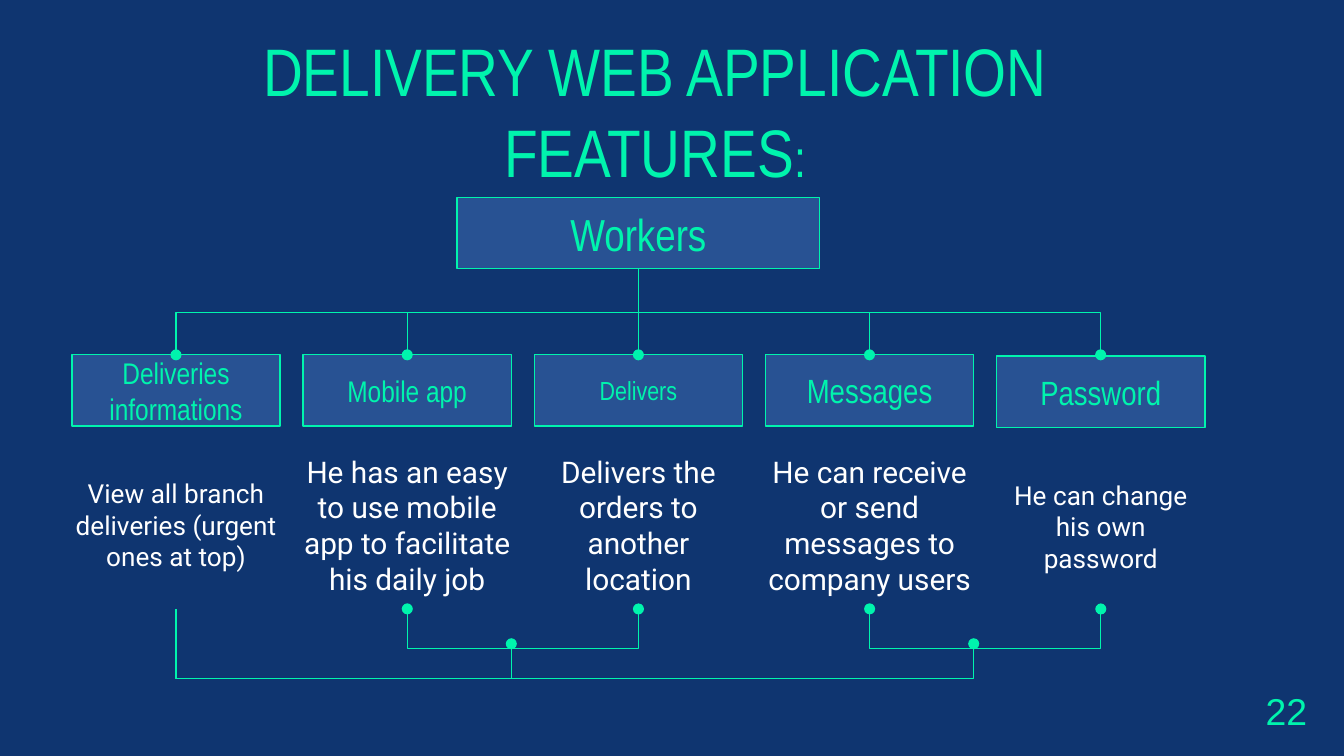
from lxml.etree import SubElement
from pptx import Presentation
from pptx.dml.color import RGBColor
from pptx.enum.shapes import MSO_CONNECTOR, MSO_SHAPE
from pptx.enum.text import MSO_ANCHOR, MSO_AUTO_SIZE, PP_ALIGN
from pptx.oxml.ns import qn
from pptx.util import Pt

COLORS = {"back": "0F3570", "box": "285293", "accent": "00F4AD", "text": "FFFFFF"}
HEAD_FONT, BODY_FONT = "Arial Narrow", "Roboto"

TITLE = ["DELIVERY WEB APPLICATION", "FEATURES"]
ROOT = "Workers"
# heading, heading size, description, description size
FEATURES = [
    ("Deliveries informations", 16, "View all branch deliveries (urgent ones at top)", 14),
    ("Mobile app", 16, "He has an easy to use mobile app to facilitate his daily job", 16),
    ("Delivers", 14, "Delivers the orders to another location", 16),
    ("Messages", 18, "He can receive or send messages to company users", 16),
    ("Password", 18, "He can change his own password", 14),
]
LAST_DROP = 0.7  # the last column sits slightly lower
PAGE = "22"

CENTER, PITCH = 342, 123.85
BOX_W, BOX_H, ROOT_W = 111.6, 38.2, 194.4
ROOT_TOP, BOX_TOP = 105.8, 190.1
BODY_TOP, BODY_H = 236.2, 90
ROOT_BOTTOM, BODY_BOTTOM = ROOT_TOP + BOX_H, BODY_TOP + BODY_H
TREE_Y, PAIR_Y, LOOP_Y = 167.4, 344.9, 363.6
FLAT = 0.05  # smallest height that lets an elbow keep its bend


def rgb(name):
    return RGBColor.from_string(COLORS[name])


def write(sp, text, size, font, color, inset=0.0, align=PP_ALIGN.CENTER):
    tf = sp.text_frame
    tf.word_wrap = True
    tf.vertical_anchor = MSO_ANCHOR.MIDDLE
    tf.margin_left = tf.margin_right = tf.margin_top = tf.margin_bottom = Pt(inset)
    p = tf.paragraphs[0]
    p.text, p.alignment = text, align
    p.font.size, p.font.name, p.font.color.rgb = Pt(size), font, rgb(color)


def add_box(slide, x, y, w, text, size):
    sp = slide.shapes.add_shape(MSO_SHAPE.RECTANGLE, Pt(x - w / 2), Pt(y), Pt(w), Pt(BOX_H))
    sp.shadow.inherit = False
    sp.fill.solid()
    sp.fill.fore_color.rgb = rgb("box")
    sp.line.color.rgb = rgb("accent")
    sp.line.width = Pt(0.75)
    write(sp, text, size, HEAD_FONT, "accent", 7.2)
    return sp


def add_line(slide, kind, start, end, head=False, tail=False):
    cn = slide.shapes.add_connector(kind, *(Pt(v) for v in start + end))
    cn.line.color.rgb = rgb("accent")
    cn.line.width = Pt(0.75)
    ln = cn.line._get_or_add_ln()
    for tag, shown in (("a:headEnd", head), ("a:tailEnd", tail)):
        if shown:
            SubElement(ln, qn(tag), type="oval")
    SubElement(cn._element.spPr, qn("a:effectLst"))
    return cn


def add_elbow(slide, start, end, bend_y, head=False, tail=False):
    """Elbow that leaves vertically, crosses at bend_y and arrives vertically."""
    (x1, y1), (x2, y2) = start, end
    cn = add_line(slide, MSO_CONNECTOR.ELBOW, start, end, head, tail)
    w, h = abs(y2 - y1), abs(x2 - x1)
    cn.left, cn.top = Pt((x1 + x2 - w) / 2), Pt((y1 + y2 - h) / 2)
    cn.width, cn.height = Pt(w), Pt(h)
    rightward, downward = x2 > x1, y2 > y1
    xfrm = cn._element.spPr.find(qn("a:xfrm"))
    for flip in ("flipH", "flipV"):
        xfrm.attrib.pop(flip, None)
    xfrm.set("rot", str((270 if rightward else 90) * 60000))
    if rightward == downward:
        xfrm.set("flipH", "1")
    guides = cn._element.spPr.find(qn("a:prstGeom")).get_or_add_avLst()
    bend = round((bend_y - y1) / (y2 - y1) * 100000)
    SubElement(guides, qn("a:gd"), name="adj1", fmla=f"val {bend}")


def add_title(slide):
    sp = slide.shapes.title
    sp.left, sp.top, sp.width, sp.height = Pt(47.5), Pt(15.8), Pt(607), Pt(38.2)
    write(sp, TITLE[0], 36, HEAD_FONT, "accent")
    tf = sp.text_frame
    tf.vertical_anchor = MSO_ANCHOR.TOP
    tf.auto_size = MSO_AUTO_SIZE.NONE
    p = tf.paragraphs[0]
    p.add_line_break()
    p.add_run().text = TITLE[1]
    r = p.add_run()
    r.text, r.font.size = ":", Pt(28)


def main():
    prs = Presentation()
    prs.slide_width, prs.slide_height = Pt(720), Pt(405)
    slide = prs.slides.add_slide(prs.slide_layouts[5])
    slide.background.fill.solid()
    slide.background.fill.fore_color.rgb = rgb("back")
    add_title(slide)

    root = add_box(slide, CENTER, ROOT_TOP, ROOT_W, ROOT, 24)
    middle = len(FEATURES) // 2
    columns = [CENTER + (i - middle) * PITCH for i in range(len(FEATURES))]
    for i, (x, (head, head_size, body, body_size)) in enumerate(zip(columns, FEATURES)):
        drop = LAST_DROP if i == len(FEATURES) - 1 else 0
        box = add_box(slide, x, BOX_TOP + drop, BOX_W, head, head_size)
        tb = slide.shapes.add_textbox(Pt(x - BOX_W / 2), Pt(BODY_TOP + drop), Pt(BOX_W), Pt(BODY_H))
        write(tb, body, body_size, BODY_FONT, "text")
        if i == middle:
            cn = add_line(slide, MSO_CONNECTOR.STRAIGHT, (x, BOX_TOP), (x, ROOT_BOTTOM), head=True)
            cn.begin_connect(box, 0)
            cn.end_connect(root, 2)
        else:
            add_elbow(slide, (x, BOX_TOP), (CENTER, ROOT_BOTTOM), TREE_Y, head=True)

    for left in (1, 3):
        add_elbow(slide, (columns[left], BODY_BOTTOM), (columns[left + 1], BODY_BOTTOM + FLAT),
                  PAIR_Y, head=True, tail=True)
        joint = (columns[left] + BOX_W / 2, PAIR_Y)
        add_elbow(slide, (columns[0], BODY_BOTTOM), joint, LOOP_Y, tail=True)

    tb = slide.shapes.add_textbox(Pt(671), Pt(365), Pt(69.8), Pt(31.7))
    write(tb, PAGE, 20, "Arial", "accent", 7.2, PP_ALIGN.LEFT)
    prs.save("out.pptx")


if __name__ == "__main__":
    main()
